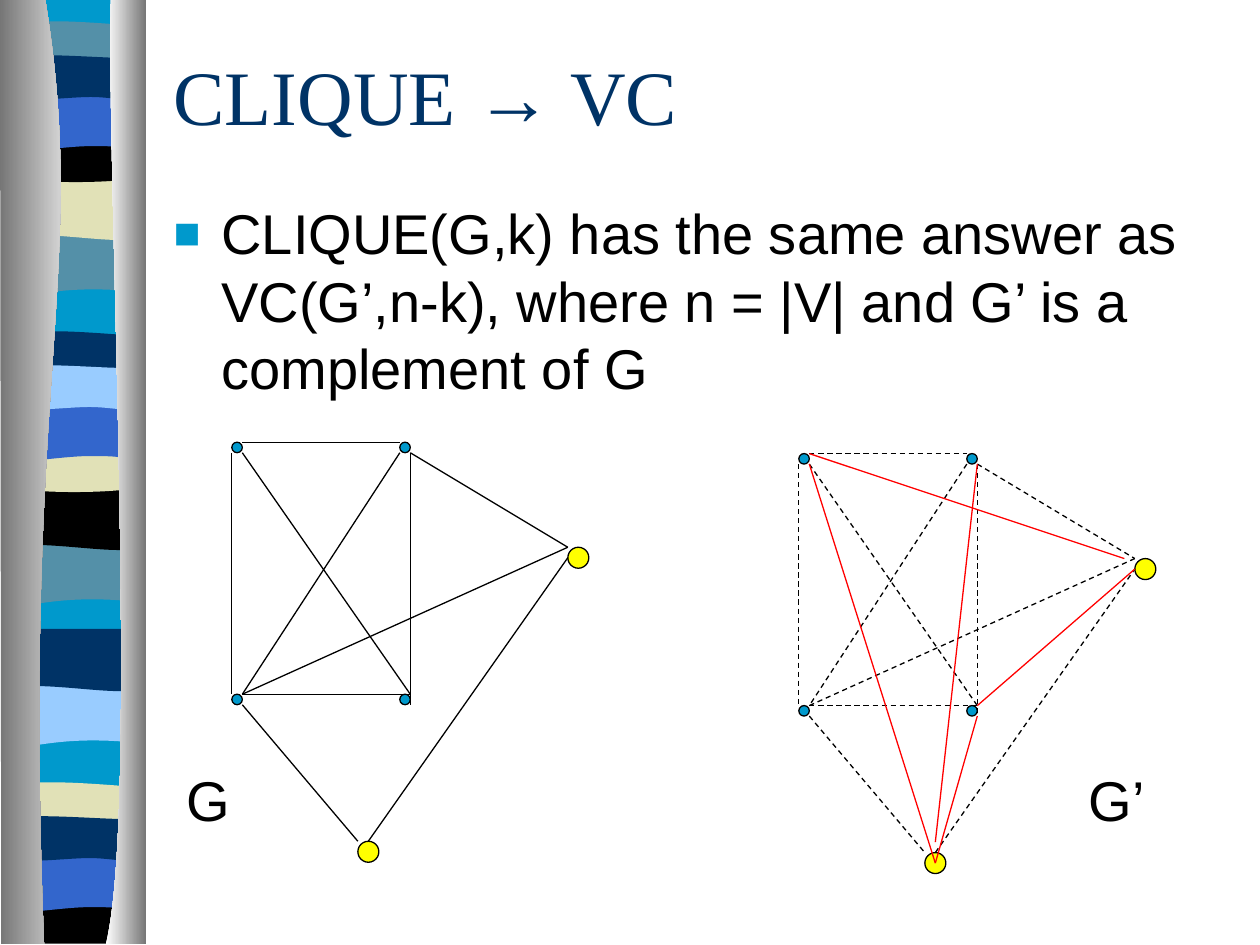
from lxml.etree import SubElement
from pptx import Presentation
from pptx.dml.color import RGBColor
from pptx.enum.dml import MSO_LINE
from pptx.enum.shapes import MSO_CONNECTOR, MSO_SHAPE
from pptx.enum.text import MSO_ANCHOR
from pptx.oxml.ns import qn
from pptx.util import Inches, Pt

TEAL, SLATE, SAND, NAVY = "0099CC", "5490A8", "E1E1B7", "003366"
BLUE, SKY, BLACK, YELLOW, RED = "3366CC", "99CCFF", "000000", "FFFF00", "FF0000"
CELL = 1 / 12  # grid step of the graphs, in inches

# Outlines: a pair is a straight step, six numbers are a cubic curve.
BASE = [(1.14, 0), (1.14, 7.47), (0.06, 7.47), (0.06, 0)]
WAVE = [(1.14, 1.85), (1.14, 2.32), (0.39, 2.24, 0.24, 2.4, 0.06, 2.32), (0.06, 1.85)]
SWELL = [(1.14, 1.41), (1.14, 1.88), (0.96, 1.96, 0.39, 1.82, 0.06, 1.88), (0.06, 1.41)]
LENS = [(1.14, 0.21), (1.14, 0.45), (0.96, 0.49, 0.24, 0.49, 0.06, 0.45), (0.06, 0.21),
        (0.12, 0.16, 0.29, 0.17, 0.47, 0.17), (0.65, 0.17, 1, 0.2, 1.14, 0.21)]
DIP = [(1.14, 1.08), (1.14, 1.4), (0.96, 1.46, 0.24, 1.46, 0.06, 1.4), (0.06, 1.08),
       (0.72, 1.13, 0.91, 1.08, 1.14, 1.08)]
FOOT = [(1.14, 1.08), (1.14, 1.45), (0.06, 1.45), (0.06, 1.08),
        (0.72, 1.13, 0.91, 1.08, 1.14, 1.08)]
ARCH = [(1.14, 0.74), (1.14, 1.21), (0.97, 1.16, 0.9, 1.16, 0.72, 1.16),
        (0.54, 1.16, 0.22, 1.21, 0.06, 1.21), (0.06, 0.74)]
RIPPLE = [(1.14, 0.46), (1.14, 0.77), (1.07, 0.82, 0.9, 0.77, 0.72, 0.77),
          (0.54, 0.77, 0.17, 0.82, 0.06, 0.77), (0.06, 0.46),
          (0.21, 0.41, 0.79, 0.46, 0.97, 0.46), (1.15, 0.46, 1.1, 0.46, 1.14, 0.46)]
# Each set of bands: shift right, shift down, then outline and colour.
BAND_SETS = [
    (0, 0, [(BASE, TEAL), (WAVE, SLATE), (SWELL, SAND), (LENS, SLATE), (DIP, BLACK),
            (ARCH, BLUE), (RIPPLE, NAVY)]),
    (-0.01, 2.46, [(WAVE, SLATE), (SWELL, BLACK), (LENS, NAVY), (DIP, SAND),
                   (ARCH, BLUE), (RIPPLE, SKY)]),
    (0, 3.58, [(WAVE, SKY), (SWELL, NAVY)]),
    (-0.01, 6.04, [(LENS, SAND), (FOOT, BLACK), (ARCH, BLUE), (RIPPLE, NAVY)]),
]
LEFT_PILLAR = [(0.36, 0), (0.71, 2.16, 0.17, 2.96, 0.35, 7.49), (0.01, 7.49), (0, 0)]
RIGHT_PILLAR = [(0.88, 0), (0.84, 1.25, 1.11, 6.46, 0.84, 7.49), (1.16, 7.49), (1.16, 0)]

# Graph, in grid columns and rows from its top left node.
SMALL_NODES = [(0, 0), (16, 0), (0, 24), (16, 24)]
LARGE_NODES = [(32, 10), (12, 38)]
EDGES = [(16, 1, 1, 24), (1, 1, 17, 24), (1, 0, 16, 0), (0, 1, 0, 24), (17, 1, 17, 25),
         (1, 24, 17, 24), (17, 1, 32, 10), (1, 24, 32, 10), (1, 25, 12, 38),
         (13, 38, 32, 11)]
COMPLEMENT_EDGES = [(1, 0, 31, 10), (32, 11, 17, 24), (17, 25, 13, 39),
                    (1, 1, 13, 39), (17, 1, 13, 37)]


def rgb(color):
    return RGBColor.from_string(color)


def bend(sp, outline):
    """Merge the three straight steps that stand for each curve into one cubic."""
    steps = iter(list(sp._element.iter(qn("a:lnTo"))))
    for seg in outline[1:]:
        first = next(steps)
        if len(seg) == 6:
            first.tag = qn("a:cubicBezTo")
            for _ in range(2):
                step = next(steps)
                first.append(step[0])
                step.getparent().remove(step)


def add_outline(group, outline, colors, dx=0, dy=0):
    """Fill an outline with one colour, or with two from left to right."""
    points = [(Inches(seg[i] + dx), Inches(seg[i + 1] + dy))
              for seg in outline for i in range(0, len(seg), 2)]
    builder = group.shapes.build_freeform(*points[0])
    builder.add_line_segments(points[1:], close=True)
    sp = builder.convert_to_shape()
    bend(sp, outline)
    sp.shadow.inherit = False
    sp.line.fill.background()
    if len(colors) == 1:
        sp.fill.solid()
        sp.fill.fore_color.rgb = rgb(colors[0])
    else:
        sp.fill.gradient()
        sp.fill.gradient_angle = 0
        for stop, color in zip(sp.fill.gradient_stops, colors):
            stop.color.rgb = rgb(color)


def add_ribbon(s):
    group = s.shapes.add_group_shape()
    for dx, dy, bands in BAND_SETS:
        for outline, color in bands:
            add_outline(group, outline, [color], dx, dy)
    add_outline(group, LEFT_PILLAR, ["767676", "FFFFFF"])
    add_outline(group, RIGHT_PILLAR, ["FFFFFF", "767676"])


def add_text(s, box, runs, size, color, anchor=MSO_ANCHOR.TOP):
    """Add one paragraph of (text, font) runs and return it."""
    tf = s.shapes.add_textbox(*map(Inches, box)).text_frame
    tf.word_wrap = True
    tf.vertical_anchor = anchor
    p = tf.paragraphs[0]
    for text, font in runs:
        r = p.add_run()
        r.text = text
        r.font.name = font
        r.font.size = Pt(size)
        r.font.color.rgb = rgb(color)
    return p


def add_bullet(p, char, color, percent, indent):
    pPr = p._p.get_or_add_pPr()
    pPr.set("marL", str(Inches(indent)))
    pPr.set("indent", str(-Inches(indent)))
    SubElement(SubElement(pPr, qn("a:buClr")), qn("a:srgbClr"), val=color)
    SubElement(pPr, qn("a:buSzPct"), val=str(percent * 1000))
    SubElement(pPr, qn("a:buFont"), typeface="Arial")
    SubElement(pPr, qn("a:buChar"), char=char)


def add_node(s, x, y, size, color):
    sp = s.shapes.add_shape(MSO_SHAPE.OVAL, Inches(x), Inches(y), Inches(size), Inches(size))
    sp.shadow.inherit = False
    sp.fill.solid()
    sp.fill.fore_color.rgb = rgb(color)
    sp.line.color.rgb = rgb(BLACK)
    sp.line.width = Pt(0.75)


def add_edge(s, ends, color, dash):
    line = s.shapes.add_connector(MSO_CONNECTOR.STRAIGHT, *map(Inches, ends))
    line.line.color.rgb = rgb(color)
    line.line.width = Pt(0.75)
    if dash:
        line.line.dash_style = dash
    SubElement(line._element.spPr, qn("a:effectLst"))


def add_graph(s, left, top, dash=None, extra_edges=()):
    for nodes, cells, color in ((SMALL_NODES, 1, TEAL), (LARGE_NODES, 2, YELLOW)):
        for col, row in nodes:
            add_node(s, left + col * CELL, top + row * CELL, cells * CELL, color)
    for edges, color, style in ((EDGES, BLACK, dash), (extra_edges, RED, None)):
        for c1, r1, c2, r2 in edges:
            ends = (left + c1 * CELL, top + r1 * CELL, left + c2 * CELL, top + r2 * CELL)
            add_edge(s, ends, color, style)


def main():
    prs = Presentation()
    prs.slide_width, prs.slide_height = Inches(10), Inches(7.5)
    s = prs.slides.add_slide(prs.slide_layouts[6])
    add_ribbon(s)
    add_text(s, (1.28, 0.13, 8.5, 1.25),
             [("CLIQUE ", "Times New Roman"), ("→", "Arial"), (" VC", "Times New Roman")],
             44, NAVY, MSO_ANCHOR.MIDDLE)
    p = add_text(s, (1.28, 1.53, 8.5, 1.98),
                 [("CLIQUE(G,k) has the same answer as VC(G’,n-k), "
                   "where n = |V| and G’ is a complement of G", "Arial")], 32, BLACK)
    add_bullet(p, "■", TEAL, 80, 0.38)
    add_graph(s, 1.84, 3.51)
    add_graph(s, 6.34, 3.6, MSO_LINE.DASH, COMPLEMENT_EDGES)
    for left, label in ((1.38, "G"), (8.54, "G’")):
        add_text(s, (left, 6.03, 1.02, 0.64), [(label, "Arial")], 32, BLACK)
    prs.save("out.pptx")


if __name__ == "__main__":
    main()
